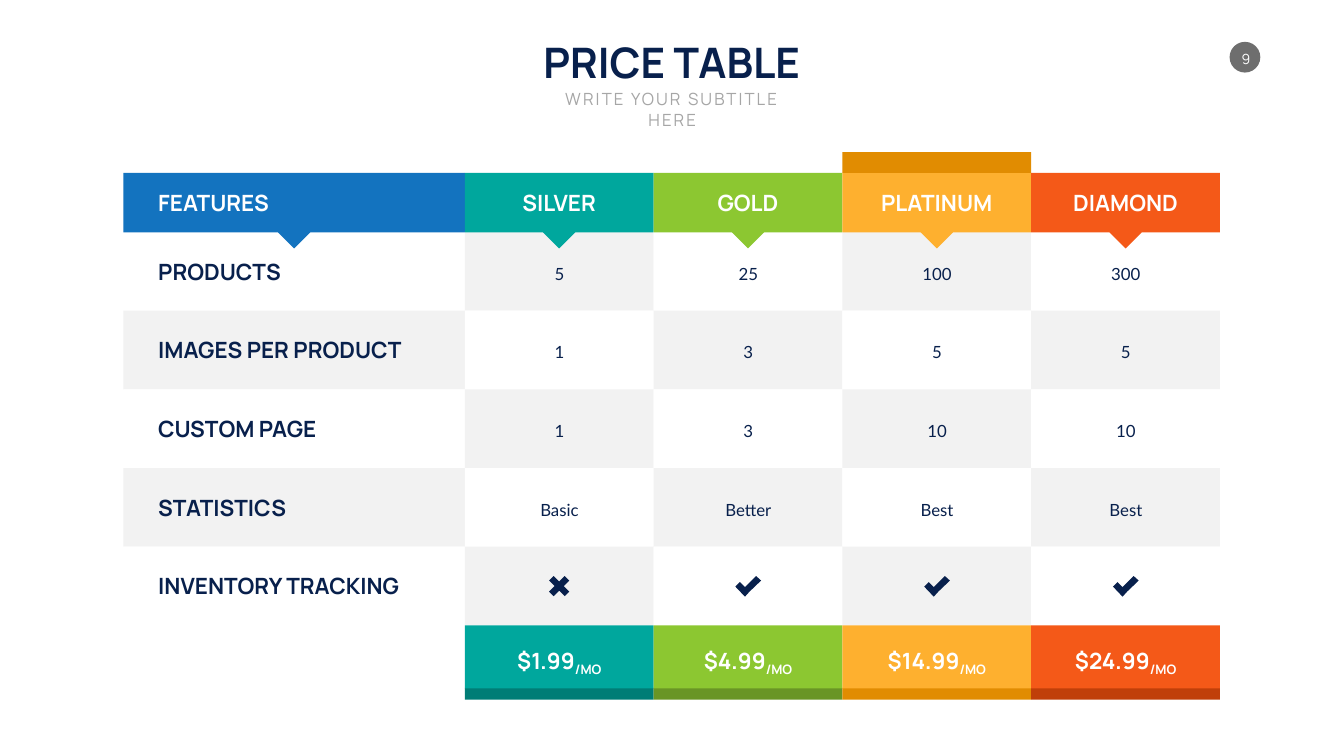
from dataclasses import dataclass

from pptx import Presentation
from pptx.dml.color import RGBColor
from pptx.enum.shapes import MSO_SHAPE
from pptx.enum.text import MSO_ANCHOR, MSO_AUTO_SIZE, PP_ALIGN
from pptx.util import Inches, Pt

RECTANGLE, DIAMOND, OVAL = MSO_SHAPE.RECTANGLE, MSO_SHAPE.DIAMOND, MSO_SHAPE.OVAL
LEFT, CENTER = PP_ALIGN.LEFT, PP_ALIGN.CENTER
TOP, MIDDLE = MSO_ANCHOR.TOP, MSO_ANCHOR.MIDDLE
GROW = MSO_AUTO_SIZE.SHAPE_TO_FIT_TEXT

COLORS = {
    "navy": "08204C", "white": "FFFFFF", "gray": "F2F2F2",
    "subtitle": "A6A6A6", "badge": "6E6E6E", "blue": "1373BF",
    "teal": "00A79D", "teal dark": "007D76",
    "green": "8CC731", "green dark": "699525",
    "amber": "FEB02F", "amber dark": "E18C01",
    "orange": "F45918", "orange dark": "C03F09",
}

# Grid, in inches
TABLE_LEFT, PLANS_LEFT, TABLE_RIGHT = 2.45, 9.22, 24.2
HEADER_TOP, HEADER_HEIGHT = 3.43, 1.18
BODY_TOP, BODY_BOTTOM = 4.6, 12.41
PRICE_HEIGHT, STRIP_TOP, STRIP_HEIGHT = 1.25, 13.65, 0.23
LABEL_LEFT, LABEL_WIDTH, LABEL_HEIGHT = 3.04, 5.6, 0.64
POINTER = 0.64

FEATURES = ["PRODUCTS", "IMAGES PER PRODUCT", "CUSTOM PAGE", "STATISTICS",
            "INVENTORY TRACKING"]
ROW_HEIGHT = (BODY_BOTTOM - BODY_TOP) / len(FEATURES)

# Icon outlines, as offsets from the icon centre
CROSS = [(0.11, -0.2), (0, -0.09), (-0.11, -0.2), (-0.2, -0.11), (-0.09, 0),
         (-0.2, 0.11), (-0.11, 0.2), (0, 0.09), (0.11, 0.2), (0.2, 0.11),
         (0.09, 0), (0.2, -0.11)]
CHECK = [(-0.06, 0.02), (-0.16, -0.08), (-0.25, 0.01), (-0.06, 0.21),
         (0.03, 0.11), (0.26, -0.11), (0.16, -0.2)]


@dataclass
class Plan:
    name: str
    color: str
    values: list[str]
    icon: list[tuple[float, float]]
    price: str
    name_width: float
    price_width: float
    featured: bool = False


@dataclass
class Style:
    size: int
    color: str
    font: str = "Manrope"
    bold: bool = False
    align: PP_ALIGN = CENTER
    anchor: MSO_ANCHOR = MIDDLE
    wrap: bool = False
    line_points: int = 0
    spacing: int = 0


PLANS = [
    Plan("SILVER", "teal", ["5", "1", "1", "Basic"], CROSS, "$1.99", 1.69, 1.99),
    Plan("GOLD", "green", ["25", "3", "3", "Better"], CHECK, "$4.99", 1.44, 2.12),
    Plan("PLATINUM", "amber", ["100", "5", "10", "Best"], CHECK, "$14.99",
         2.49, 2.29, featured=True),
    Plan("DIAMOND", "orange", ["300", "5", "10", "Best"], CHECK, "$24.99",
         2.42, 2.38),
]
PLAN_WIDTH = (TABLE_RIGHT - PLANS_LEFT) / len(PLANS)

TITLE = Style(60, "navy", bold=True, anchor=TOP)
SUBTITLE = Style(24, "subtitle", anchor=TOP, wrap=True, spacing=300)
PAGE_NUMBER = Style(20, "white")
FEATURE = Style(32, "navy", bold=True, align=LEFT, wrap=True)
FEATURE_HEADER = Style(32, "white", bold=True, align=LEFT, wrap=True)
PLAN_HEADER = Style(32, "white", bold=True)
VALUE = Style(24, "navy", font="Lato", wrap=True, line_points=35)


def paint(shape, color: str) -> None:
    shape.shadow.inherit = False
    shape.fill.solid()
    shape.fill.fore_color.rgb = RGBColor.from_string(COLORS[color])
    shape.line.fill.background()


def add_block(page, kind: MSO_SHAPE, left: float, top: float, width: float,
              height: float, color: str) -> None:
    paint(page.shapes.add_shape(kind, Inches(left), Inches(top), Inches(width),
                                Inches(height)), color)


def add_icon(page, center_x: float, center_y: float,
             offsets: list[tuple[float, float]]) -> None:
    points = [(Inches(center_x + x), Inches(center_y + y)) for x, y in offsets]
    builder = page.shapes.build_freeform(*points[0])
    builder.add_line_segments(points[1:], close=True)
    paint(builder.convert_to_shape(), "navy")


def add_text(page, left: float, top: float, width: float, height: float,
             text: str, style: Style, subscript: str = "", margin: bool = True) -> None:
    box = page.shapes.add_textbox(Inches(left), Inches(top), Inches(width),
                                  Inches(height))
    frame = box.text_frame
    frame.word_wrap = style.wrap
    frame.auto_size = GROW
    frame.vertical_anchor = style.anchor
    if not margin:
        frame.margin_left = frame.margin_right = 0
        frame.margin_top = frame.margin_bottom = 0
    para = frame.paragraphs[0]
    para.alignment = style.align
    if style.line_points:
        para.line_spacing = Pt(style.line_points)
    para.font.name = style.font
    para.font.size = Pt(style.size)
    para.font.bold = style.bold
    para.font.color.rgb = RGBColor.from_string(COLORS[style.color])
    span = para.add_run()
    span.text = text
    if style.spacing:
        span._r.get_or_add_rPr().set("spc", str(style.spacing))
    if subscript:
        span = para.add_run()
        span.text = subscript
        span._r.get_or_add_rPr().set("baseline", "-25000")


def add_column(page, left: float, width: float, color: str, first_gray: int) -> None:
    """Draw the striped cells, the header and its pointer."""
    for row in range(len(FEATURES)):
        fill = "gray" if row % 2 == first_gray else "white"
        add_block(page, RECTANGLE, left, BODY_TOP + row * ROW_HEIGHT, width,
                  ROW_HEIGHT, fill)
    add_block(page, RECTANGLE, left, HEADER_TOP, width, HEADER_HEIGHT, color)
    add_block(page, DIAMOND, left + (width - POINTER) / 2,
              BODY_TOP + 0.01 - POINTER / 2, POINTER, POINTER, color)


def add_plan(page, index: int, plan: Plan) -> None:
    left = PLANS_LEFT + index * PLAN_WIDTH
    center = left + PLAN_WIDTH / 2
    dark = f"{plan.color} dark"
    add_block(page, RECTANGLE, left, STRIP_TOP, PLAN_WIDTH, STRIP_HEIGHT, dark)
    add_column(page, left, PLAN_WIDTH, plan.color, index % 2)
    add_block(page, RECTANGLE, left, BODY_BOTTOM, PLAN_WIDTH, PRICE_HEIGHT, plan.color)
    if plan.featured:
        add_block(page, RECTANGLE, left, 3.02, PLAN_WIDTH, 0.41, dark)
    add_text(page, center - plan.name_width / 2, 3.7, plan.name_width,
             LABEL_HEIGHT, plan.name, PLAN_HEADER)
    for row, value in enumerate(plan.values):
        add_text(page, center - 1.5, 5.11 + row * ROW_HEIGHT, 3.01, 0.54, value, VALUE)
    add_icon(page, center, BODY_BOTTOM - ROW_HEIGHT / 2, plan.icon)
    add_text(page, center - plan.price_width / 2, 12.82, plan.price_width,
             LABEL_HEIGHT, plan.price, PLAN_HEADER, subscript="/MO")


def main() -> None:
    deck = Presentation()
    deck.slide_width, deck.slide_height = Inches(26.66), Inches(15)
    page = deck.slides.add_slide(deck.slide_layouts[6])

    # Page number and titles
    add_block(page, OVAL, 24.39, 0.83, 0.61, 0.61, "badge")
    add_text(page, 24.51, 0.99, 0.41, 0.34, "9", PAGE_NUMBER, margin=False)
    add_text(page, 10.66, 0.67, 5.33, 1.11, "PRICE TABLE", TITLE)
    add_text(page, 10.62, 1.72, 5.43, 0.5, "WRITE YOUR SUBTITLE HERE", SUBTITLE)

    # Feature column
    add_column(page, TABLE_LEFT, PLANS_LEFT - TABLE_LEFT, "blue", 1)
    add_text(page, LABEL_LEFT, 3.7, LABEL_WIDTH, LABEL_HEIGHT, "FEATURES", FEATURE_HEADER)
    for row, feature in enumerate(FEATURES):
        add_text(page, LABEL_LEFT, 5.06 + row * ROW_HEIGHT, LABEL_WIDTH,
                 LABEL_HEIGHT, feature, FEATURE)

    # Plan columns
    for index, plan in enumerate(PLANS):
        add_plan(page, index, plan)

    deck.save("out.pptx")


if __name__ == "__main__":
    main()
